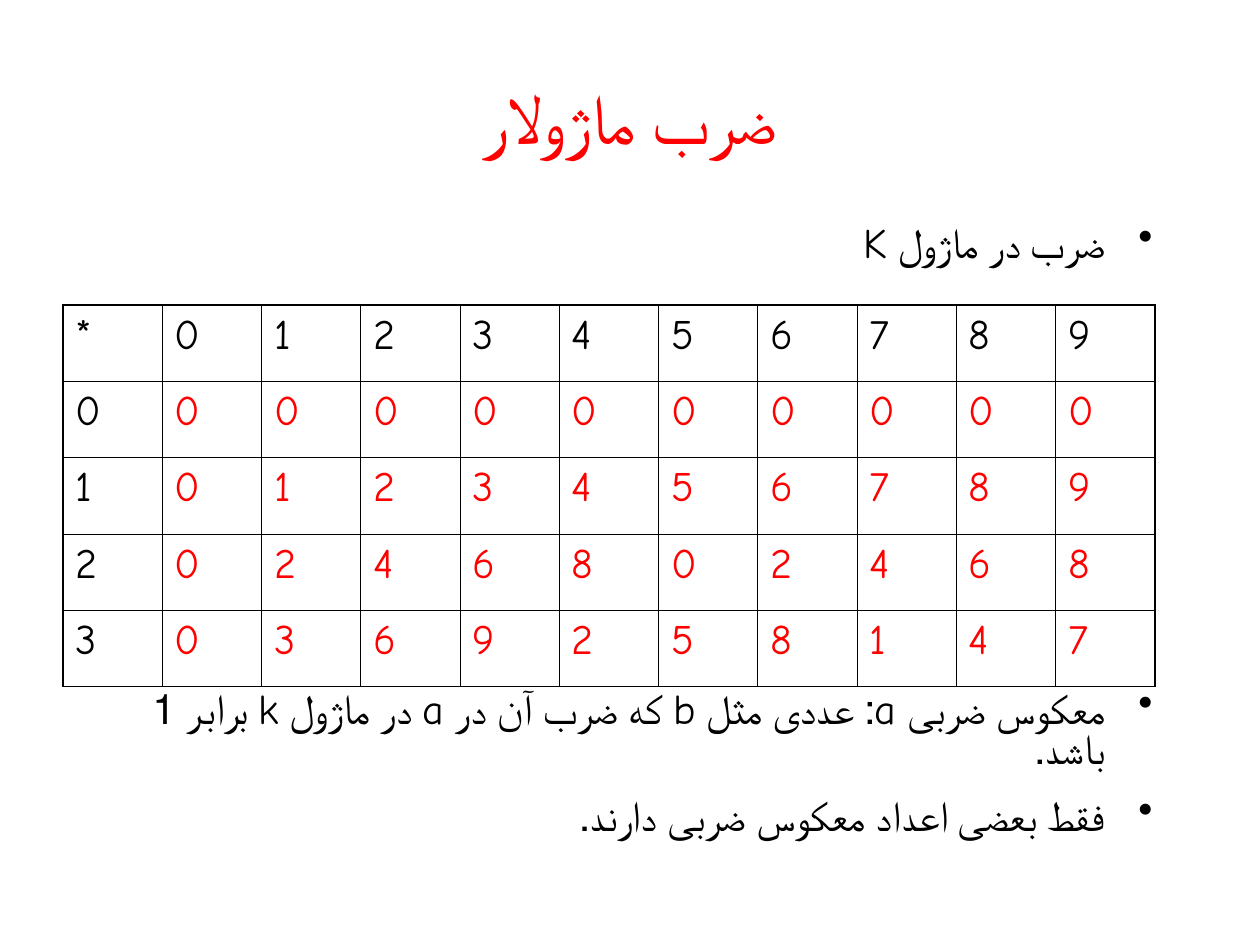
from dataclasses import dataclass

from lxml import etree
from pptx import Presentation
from pptx import util as u
from pptx.dml.color import RGBColor
from pptx.enum import text
from pptx.oxml import ns


@dataclass(frozen=True)
class Theme:
    font: str = "Comic Neue"
    ink: str = "000000"
    accent: str = "FF0000"
    title_size: int = 40
    body_size: int = 24
    outer_line: float = 1.08
    inner_line: float = 0.45


class Deck:
    """Draws styled elements on the current slide, with 100 px to the inch."""

    SCALE = 9144

    def __init__(self, theme, width, height):
        self.theme = theme
        self.file = Presentation()
        self.file.slide_width = self.px(width)
        self.file.slide_height = self.px(height)
        self.slide = self.file.slides.add_slide(self.file.slide_layouts[6])

    def px(self, length):
        return u.Emu(length * self.SCALE)

    def frame(self, box, anchor):
        frame = self.slide.shapes.add_textbox(*map(self.px, box)).text_frame
        frame.word_wrap = True
        frame.vertical_anchor = anchor
        return frame

    def run(self, paragraph, words, size, color):
        run = paragraph.add_run()
        run.text = words
        run.font.size = u.Pt(size)
        run.font.name = self.theme.font
        run.font.color.rgb = RGBColor.from_string(color)

    def title(self, box, words):
        heading = self.frame(box, text.MSO_ANCHOR.MIDDLE).paragraphs[0]
        heading.alignment = text.PP_ALIGN.CENTER
        self.run(heading, words, self.theme.title_size, self.theme.accent)

    def bullets(self, box, points, indent):
        frame = self.frame(box, text.MSO_ANCHOR.TOP)
        for index, (words, space_before) in enumerate(points):
            point = frame.add_paragraph() if index else frame.paragraphs[0]
            point.alignment = text.PP_ALIGN.RIGHT
            point.line_spacing = 0.8
            point.space_before = u.Pt(space_before)
            point.space_after = u.Pt(3)
            props = point._p.get_or_add_pPr()
            props.set("rtl", "1")
            props.set("marL", str(self.px(indent)))
            props.set("indent", str(self.px(-indent)))
            etree.SubElement(props, ns.qn("a:buChar"), char="•")
            self.run(point, words, self.theme.body_size, self.theme.ink)

    def border(self, cell, side, width):
        line = etree.SubElement(
            cell._tc.get_or_add_tcPr(), ns.qn(f"a:ln{side}"), w=str(u.Pt(width))
        )
        fill = etree.SubElement(line, ns.qn("a:solidFill"))
        etree.SubElement(fill, ns.qn("a:srgbClr"), val=self.theme.ink)

    def table(self, box, rows):
        last_row, last_column = len(rows) - 1, len(rows[0]) - 1
        grid = self.slide.shapes.add_table(
            len(rows), len(rows[0]), *map(self.px, box)
        ).table
        grid.first_row = grid.horz_banding = False
        for r, row in enumerate(rows):
            for c, value in enumerate(row):
                cell = grid.cell(r, c)
                outer_sides = {
                    "L": c == 0,
                    "R": c == last_column,
                    "T": r == 0,
                    "B": r == last_row,
                }
                for side, outer in outer_sides.items():
                    width = self.theme.outer_line if outer else self.theme.inner_line
                    self.border(cell, side, width)
                cell.fill.background()
                color = self.theme.accent if r and c else self.theme.ink
                entry = cell.text_frame.paragraphs[0]
                entry.space_after = u.Pt(3)
                self.run(entry, str(value), self.theme.body_size, color)


def main():
    modulus = 10
    factors = range(modulus)
    products = [["*", *factors]]
    products += [[a, *(a * b % modulus for b in factors)] for a in range(4)]
    points = [
        ("ضرب در ماژول K", 0),
        ("معکوس ضربی a: عددی مثل b که ضرب آن در a در ماژول k برابر 1 باشد.", 240),
        ("فقط بعضی اعداد معکوس ضربی دارند.", 12),
    ]

    deck = Deck(Theme(), 1000, 750)
    deck.title((50, 30, 900, 125), "ضرب ماژولار")
    deck.bullets((50, 175, 875, 550), points, indent=38)
    deck.table((50, 242, 867, 303), products)
    deck.file.save("out.pptx")


if __name__ == "__main__":
    main()
